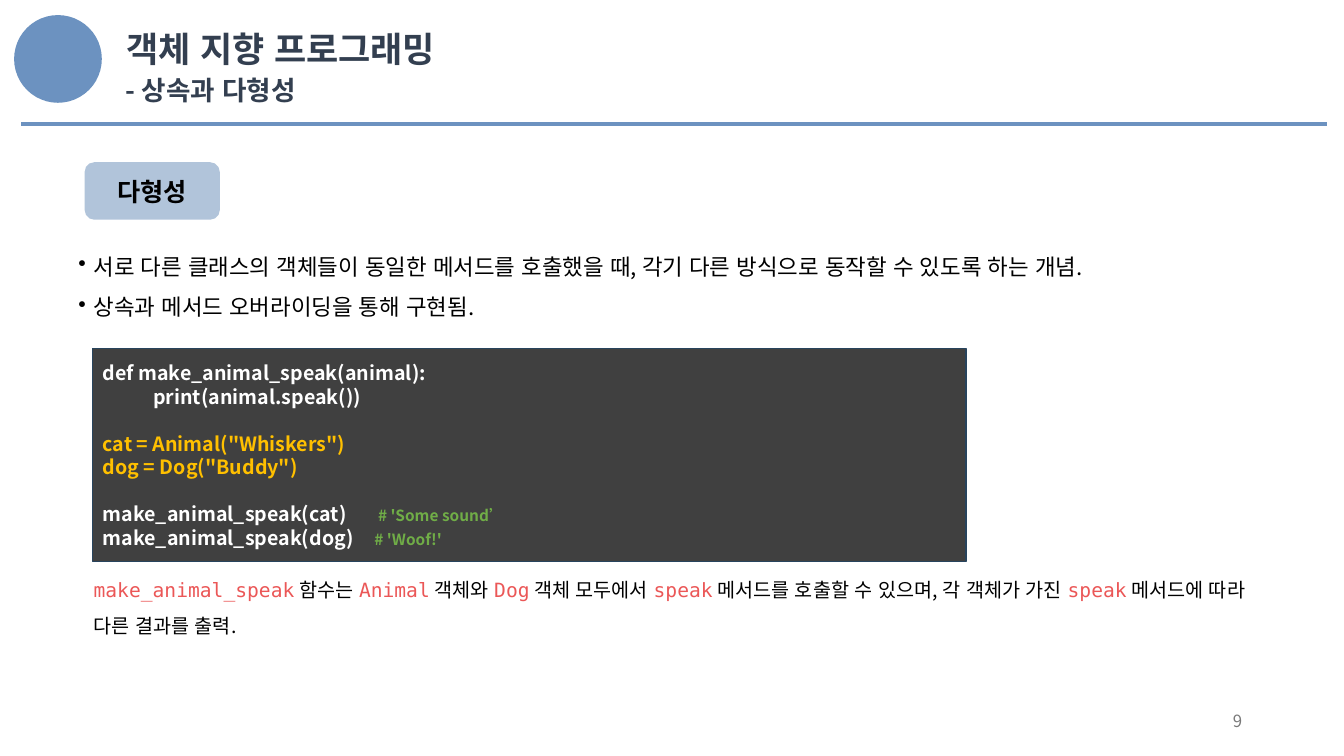
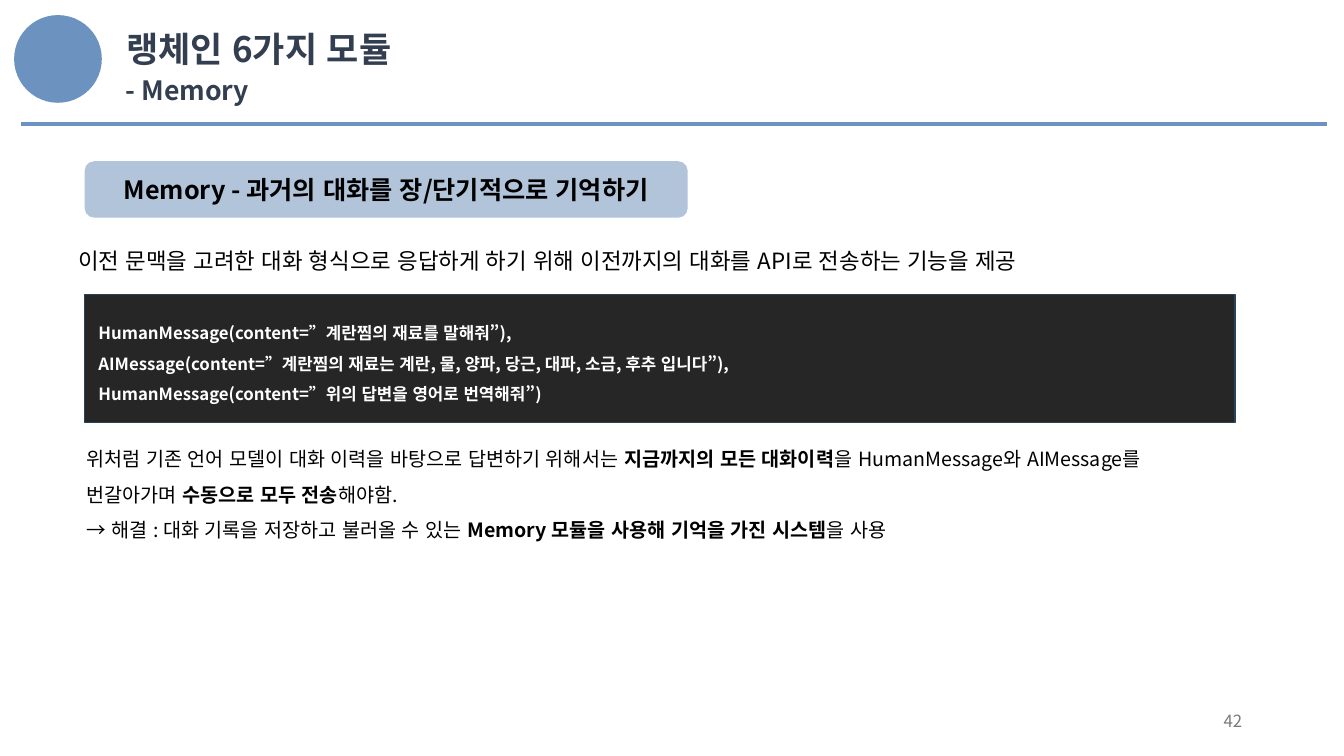
from pptx import Presentation
from pptx import util as u
from pptx.dml.color import RGBColor
from pptx.enum import lang, shapes, text
from pptx.oxml import ns
from lxml import etree

Inches, Pt = u.Inches, u.Pt

BLUE = RGBColor(0x6C, 0x92, 0xC0)
BADGE = RGBColor(0x90, 0xAB, 0xCB)
NAVY = RGBColor(0x33, 0x3F, 0x50)
BLACK = RGBColor(0, 0, 0)
WHITE = RGBColor(0xFF, 0xFF, 0xFF)
GRAY = RGBColor(0x79, 0x79, 0x79)
GRAPHITE = RGBColor(0x40, 0x40, 0x40)
CHARCOAL = RGBColor(0x26, 0x26, 0x26)
CODE_BORDER = RGBColor(0x28, 0x44, 0x5D)
AMBER = RGBColor(0xFF, 0xC0, 0x00)
GREEN = RGBColor(0x70, 0xAD, 0x47)
RED = RGBColor(0xEB, 0x57, 0x57)

HEAD_FONT = "Noto Sans CJK KR"
BODY_FONT = "Noto Sans CJK SC"
MONO_FONT = "DejaVu Sans Mono"
LINE_HEIGHT = 1.2

COMMENT = {"size": 11, "color": GREEN}
TERM = {"font": MONO_FONT, "color": RED}
STRONG = {"bold": True}


def add_run(paragraph, content, size=14, font=BODY_FONT, color=BLACK, bold=False):
    run = paragraph.add_run()
    run.text = content
    run.font.size = Pt(size)
    run.font.bold = bold
    run.font.color.rgb = color
    run.font.name = font
    run.font.language_id = lang.MSO_LANGUAGE_ID.KOREAN
    east_asian = etree.Element(ns.qn("a:ea"), typeface=font)
    run.font._element.find(ns.qn("a:latin")).addnext(east_asian)


def add_bullet(paragraph, indent):
    properties = paragraph._p.get_or_add_pPr()
    properties.set("marL", str(indent))
    properties.set("indent", str(-indent))
    etree.SubElement(properties, ns.qn("a:buChar"), char="•")


def write_text(shape, paragraphs, size=14, spacing=1, align=text.PP_ALIGN.LEFT,
               anchor=text.MSO_ANCHOR.TOP, wrap=True, bullet=False,
               gaps=(), **run_format):
    frame = shape.text_frame
    frame.auto_size = text.MSO_AUTO_SIZE.NONE
    frame.word_wrap = wrap
    frame.vertical_anchor = anchor
    frame.margin_left = frame.margin_right = Inches(0.1)
    frame.margin_top = frame.margin_bottom = Inches(0.05)
    for index, runs in enumerate(paragraphs):
        paragraph = frame.add_paragraph() if index else frame.paragraphs[0]
        if bullet:
            add_bullet(paragraph, Inches(0.15))
        paragraph.alignment = align
        line = Pt(size * LINE_HEIGHT)
        paragraph.line_spacing = Pt(size * LINE_HEIGHT * spacing)
        paragraph.space_before = line if index in gaps else Pt(0)
        for run in [runs] if isinstance(runs, str) else runs:
            content, changes = (run, {}) if isinstance(run, str) else run
            add_run(paragraph, content, **{"size": size, **run_format, **changes})


def add_text(slide, box, paragraphs, **text_format):
    shape = slide.shapes.add_textbox(*map(Inches, box))
    write_text(shape, paragraphs, **text_format)


def add_panel(slide, kind, box, fill, border=None):
    shape = slide.shapes.add_shape(kind, *map(Inches, box))
    shape.shadow.inherit = False
    shape.fill.solid()
    shape.fill.fore_color.rgb = fill
    if border is None:
        shape.line.fill.background()
    else:
        shape.line.color.rgb = border
        shape.line.width = Pt(1)
    return shape


def add_header(slide, box, title, subtitle):
    left, top, width, height = box
    add_panel(slide, shapes.MSO_SHAPE.OVAL, (left, top, 0.87, 0.87), BLUE)

    heading = slide.shapes.title
    heading.left, heading.top = Inches(left + 1.01), Inches(top + 0.07)
    heading.width, heading.height = Inches(3.4), Inches(0.5)
    style = {"font": HEAD_FONT, "color": NAVY, "bold": True, "wrap": False}
    write_text(heading, [title], size=25, **style)
    add_text(slide, (left + 1.01, top + 0.53, 3.4, 0.42), [subtitle], size=19, **style)

    rule_y = Inches(top + height)
    rule = slide.shapes.add_connector(
        shapes.MSO_CONNECTOR.STRAIGHT,
        Inches(left + 0.07), rule_y, Inches(left + width), rule_y)
    rule.line.color.rgb = BLUE
    rule.line.width = Pt(3)
    etree.SubElement(rule._element.spPr, ns.qn("a:effectLst"))


def add_badge(slide, box, label):
    badge = add_panel(slide, shapes.MSO_SHAPE.FLOWCHART_ALTERNATE_PROCESS, box, BADGE)
    color = badge._element.spPr.find(".//" + ns.qn("a:srgbClr"))
    etree.SubElement(color, ns.qn("a:alpha"), val="70000")
    write_text(badge, [label], size=18, bold=True, align=text.PP_ALIGN.CENTER,
               anchor=text.MSO_ANCHOR.MIDDLE)


def add_code(slide, box, lines, fill, **text_format):
    panel = add_panel(slide, shapes.MSO_SHAPE.RECTANGLE, box, fill, CODE_BORDER)
    write_text(panel, lines, anchor=text.MSO_ANCHOR.MIDDLE,
               **{"color": WHITE, "bold": True, **text_format})


def add_content_slide(presentation, title, subtitle, number):
    slide = presentation.slides.add_slide(presentation.slide_layouts[5])
    add_header(slide, (0.14, 0.15, 13.02, 1.08), title, subtitle)
    add_text(slide, (9.42, 6.95, 3, 0.4), [str(number)], size=12, color=GRAY,
             align=text.PP_ALIGN.RIGHT, anchor=text.MSO_ANCHOR.MIDDLE)
    return slide


def build_polymorphism(presentation):
    slide = add_content_slide(presentation, "객체 지향 프로그래밍", "- 상속과 다형성", 9)
    add_badge(slide, (0.84, 1.61, 1.34, 0.57), "다형성")
    add_text(slide, (0.68, 2.33, 11.58, 0.87), [
        "서로 다른 클래스의 객체들이 동일한 메서드를 호출했을 때, "
        "각기 다른 방식으로 동작할 수 있도록 하는 개념.",
        "상속과 메서드 오버라이딩을 통해 구현됨.",
    ], size=16, spacing=1.5, bullet=True)
    amber = {"color": AMBER}
    add_code(slide, (0.92, 3.46, 8.66, 2.11), [
        "def make_animal_speak(animal):",
        "\tprint(animal.speak())",
        [('cat = Animal("Whiskers")', amber)],
        [('dog = Dog("Buddy")', amber)],
        ["make_animal_speak(cat)       ", ("# 'Some sound’", COMMENT)],
        ["make_animal_speak(dog)   ", ("  # 'Woof!'", COMMENT)],
    ], GRAPHITE, gaps=(2, 4))
    add_text(slide, (0.83, 5.57, 11.68, 0.77), [[
        ("make_animal_speak", TERM), " 함수는 ",
        ("Animal", TERM), " 객체와 ",
        ("Dog", TERM), " 객체 모두에서 ",
        ("speak", TERM), " 메서드를 호출할 수 있으며, 각 객체가 가진 ",
        ("speak", TERM), " 메서드에 따라 다른 결과를 출력.",
    ]], spacing=1.5)


def build_memory(presentation):
    slide = add_content_slide(presentation, "랭체인 6가지 모듈", "- Memory", 42)
    add_badge(slide, (0.84, 1.6, 5.98, 0.56),
              "Memory - 과거의 대화를 장/단기적으로 기억하기")
    add_text(slide, (0.68, 2.4, 12.21, 0.37), [
        "이전 문맥을 고려한 대화 형식으로 응답하게 하기 위해 "
        "이전까지의 대화를 API로 전송하는 기능을 제공",
    ], size=16)
    add_code(slide, (0.84, 2.92, 11.41, 1.27), [
        " HumanMessage(content=”계란찜의 재료를 말해줘”),",
        " AIMessage(content=”계란찜의 재료는 계란, 물, 양파, 당근, 대파, 소금, 후추 입니다”),",
        " HumanMessage(content=”위의 답변을 영어로 번역해줘”)",
    ], CHARCOAL, size=12, spacing=1.5)
    add_text(slide, (0.76, 4.27, 12.21, 1.12), [
        ["위처럼 기존 언어 모델이 대화 이력을 바탕으로 답변하기 위해서는 ",
         ("지금까지의 모든 대화이력", STRONG), "을 HumanMessage와 AIMessage를"],
        ["번갈아가며", (" 수동으로 모두 전송", STRONG), "해야함."],
        ["→ 해결 : 대화 기록을 저장하고 불러올 수 있는 ",
         ("Memory 모듈을 사용해 기억을 가진 시스템", STRONG), "을 사용"],
    ], spacing=1.5)


def main():
    presentation = Presentation()
    presentation.slide_width = Inches(13.33)
    presentation.slide_height = Inches(7.5)
    build_polymorphism(presentation)
    build_memory(presentation)
    presentation.save("out.pptx")


if __name__ == "__main__":
    main()
